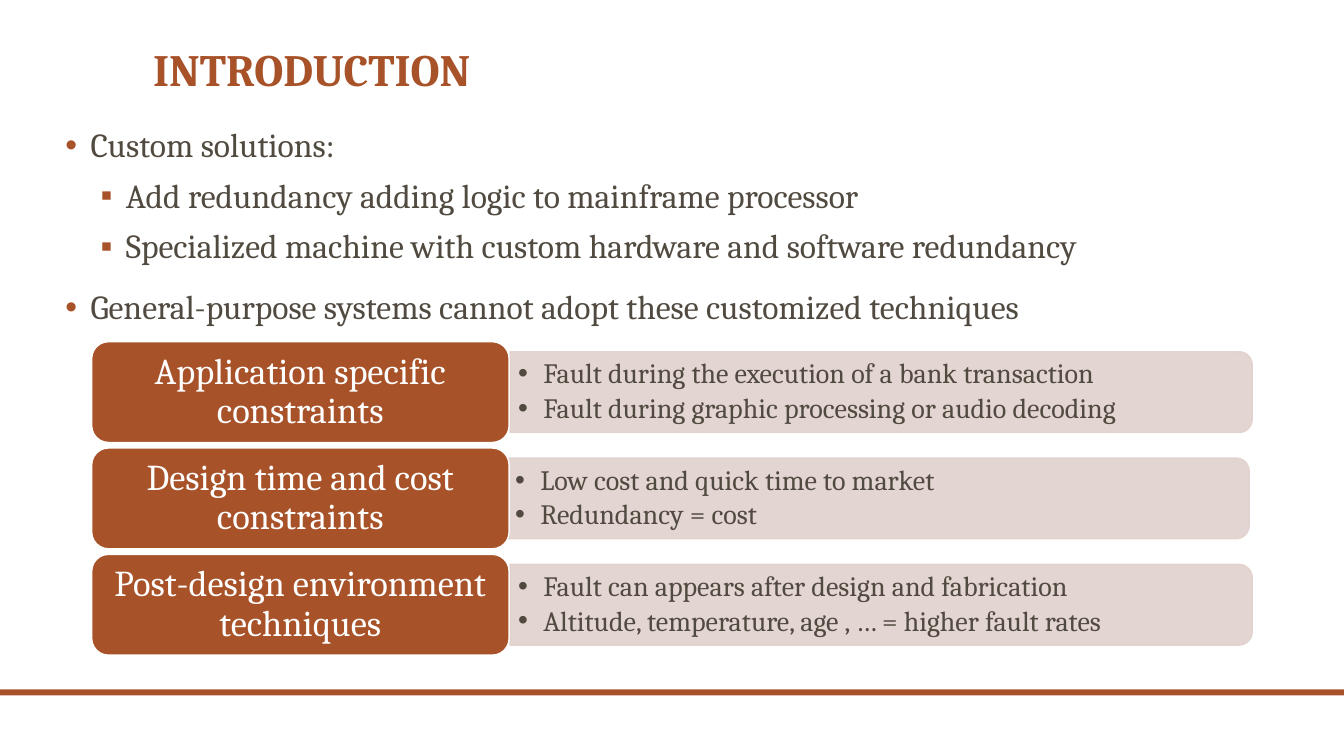
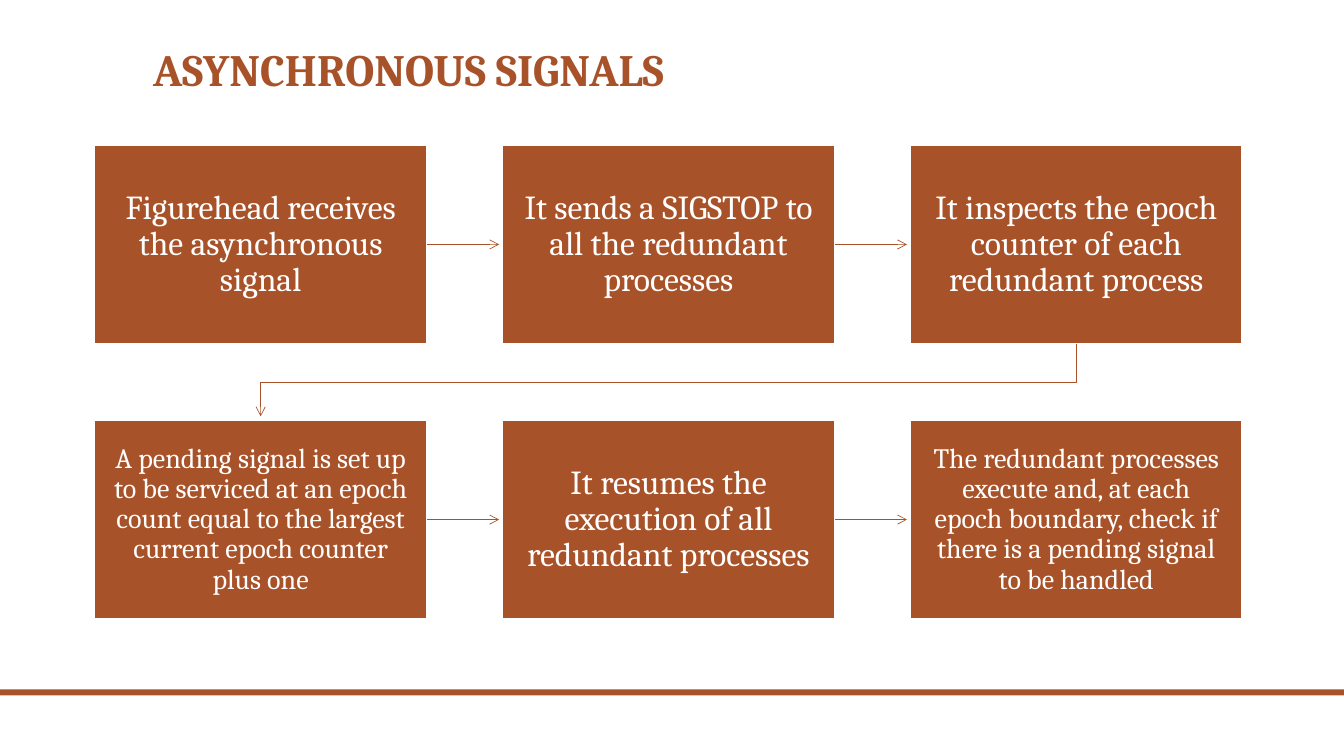
from math import cos, radians, sin

from lxml.etree import SubElement
from pptx import Presentation
from pptx.dml.color import RGBColor
from pptx.enum.shapes import MSO_CONNECTOR, MSO_SHAPE
from pptx.enum.text import MSO_ANCHOR, PP_ALIGN
from pptx.oxml.ns import qn
from pptx.util import Inches, Pt

COLORS = {"rust": "A85229", "blush": "E1D1CD", "ink": "514A40", "white": "FFFFFF"}
FONT = "Cambria"

CENTERED = {"alignment": PP_ALIGN.CENTER}
TOPIC = {"space_before": Pt(18)}
SUBTOPIC = {"space_before": Pt(10)}
DETAIL = {"space_after": Pt(3)}

OUTLINE = [
    ("Custom solutions:", TOPIC, 0.3, "•"),
    ("Add redundancy adding logic to mainframe processor", SUBTOPIC, 0.65, "▪"),
    ("Specialized machine with custom hardware and software redundancy", SUBTOPIC, 0.65, "▪"),
    ("General-purpose systems cannot adopt these customized techniques", TOPIC, 0.3, "•"),
]
CONSTRAINTS = [
    ("Application specific constraints", 5.06,
     ["Fault during the execution of a bank transaction",
      "Fault during graphic processing or audio decoding"]),
    ("Design time and cost constraints", 5.03,
     ["Low cost and quick time to market", "Redundancy = cost"]),
    ("Post-design environment techniques", 5.06,
     ["Fault can appears after design and fabrication",
      "Altitude, temperature, age , … = higher fault rates"]),
]
STEPS = [
    ("Figurehead receives the asynchronous signal", 24),
    ("It sends a SIGSTOP to all the redundant processes", 24),
    ("It inspects the epoch counter of each redundant process", 24),
    ("A pending signal is set up to be serviced at an epoch count "
     "equal to the largest current epoch counter plus one", 20),
    ("It resumes the execution of all redundant processes", 24),
    ("The redundant processes execute and, at each epoch boundary, "
     "check if there is a pending signal to be handled", 20),
]


def color(name):
    return RGBColor.from_string(COLORS[name])


def apply(target, values):
    for name, value in values.items():
        setattr(target, name, value)


def set_frame(box, anchor, horizontal, vertical):
    apply(box.text_frame, {
        "word_wrap": True, "vertical_anchor": anchor,
        "margin_left": Inches(horizontal), "margin_right": Inches(horizontal),
        "margin_top": Inches(vertical), "margin_bottom": Inches(vertical),
    })


def add_bullet(paragraph, symbol, indent, tint):
    properties = paragraph._p.get_or_add_pPr()
    properties.set("marL", str(Inches(indent)))
    properties.set("indent", str(Inches(-0.25)))
    bullet_color = SubElement(properties, qn("a:buClr"))
    SubElement(bullet_color, qn("a:srgbClr"), val=COLORS[tint])
    SubElement(properties, qn("a:buFont"), typeface="Arial")
    SubElement(properties, qn("a:buChar"), char=symbol)


def write(box, index, text, size, tint, layout, bullet=None, bold=False):
    frame = box.text_frame
    paragraph = frame.add_paragraph() if index else frame.paragraphs[0]
    if bullet:
        add_bullet(paragraph, *bullet)
    apply(paragraph, {"line_spacing": 0.9, **layout})
    if not index:
        paragraph.space_before = Pt(0)
    span = paragraph.add_run()
    span.text = text
    apply(span.font, {"name": FONT, "size": Pt(size), "bold": bold})
    span.font.color.rgb = color(tint)


def paint(shape, fill, line=None, width=1):
    shape.shadow.inherit = False
    if fill:
        shape.fill.solid()
        shape.fill.fore_color.rgb = color(fill)
    else:
        shape.fill.background()
    if line:
        shape.line.color.rgb = color(line)
        shape.line.width = Pt(width)
    else:
        shape.line.fill.background()


def add_label(page, kind, area, text, size, margins):
    box = page.shapes.add_shape(kind, *map(Inches, area))
    paint(box, "rust", "white")
    set_frame(box, MSO_ANCHOR.MIDDLE, *margins)
    write(box, 0, text, size, "white", CENTERED)


def add_path(page, points, close):
    corners = [(Inches(x), Inches(y)) for x, y in points]
    builder = page.shapes.build_freeform(*corners[0], scale=1.0)
    builder.add_line_segments(corners[1:], close=close)
    return builder.convert_to_shape()


def add_detail(page, left, top, lines):
    width, height, radius = 7.36, 0.8, 0.13
    right, bottom = left + width, top + height

    def corner(center_y, start):
        angles = [radians(start + step * 10) for step in range(10)]
        return [(right - radius + radius * cos(angle), center_y + radius * sin(angle))
                for angle in angles]

    points = [(left, top), *corner(top + radius, -90),
              *corner(bottom - radius, 0), (left, bottom)]
    box = add_path(page, points, True)
    paint(box, "blush", "blush")
    for tint in box._element.spPr.iter(qn("a:srgbClr")):
        SubElement(tint, qn("a:alpha"), val="90000")
    set_frame(box, MSO_ANCHOR.MIDDLE, 0.08, 0.08)
    for index, text in enumerate(lines):
        write(box, index, text, 20, "ink", {"alignment": PP_ALIGN.LEFT, **DETAIL},
              ("•", 0.25, "ink"))


def add_arrow(page, points):
    if len(points) == 2:
        ends = [Inches(value) for point in points for value in point]
        arrow = page.shapes.add_connector(MSO_CONNECTOR.STRAIGHT, *ends)
        arrow.line.color.rgb = color("rust")
        arrow.line.width = Pt(0.5)
        SubElement(arrow._element.spPr, qn("a:effectLst"))
    else:
        arrow = add_path(page, points, False)
        paint(arrow, None, "rust", 0.5)
    SubElement(arrow._element.spPr.find(qn("a:ln")), qn("a:tailEnd"), type="arrow")


def add_page(deck, title):
    page = deck.slides.add_slide(deck.slide_layouts[6])
    band = page.shapes.add_shape(
        MSO_SHAPE.RECTANGLE, 0, Inches(6.84), deck.slide_width, Inches(0.06))
    paint(band, "rust")
    box = page.shapes.add_textbox(*map(Inches, (1.42, 0.42, 10.5, 0.58)))
    set_frame(box, MSO_ANCHOR.BOTTOM, 0.1, 0.05)
    write(box, 0, title, 32, "rust", {}, bold=True)
    return page


def add_introduction(deck):
    page = add_page(deck, "INTRODUCTION")
    box = page.shapes.add_textbox(*map(Inches, (0.5, 1.23, 12.33, 2.1)))
    set_frame(box, MSO_ANCHOR.TOP, 0.1, 0.05)
    for index, (text, layout, indent, symbol) in enumerate(OUTLINE):
        write(box, index, text, 24, "ink", layout, (symbol, indent, "rust"))
    for row, (heading, detail_left, lines) in enumerate(CONSTRAINTS):
        top = 3.39 + row * 1.055
        add_detail(page, detail_left, top + 0.1, lines)
        add_label(page, MSO_SHAPE.ROUNDED_RECTANGLE, (0.91, top, 4.14, 1),
                  heading, 26, (0.11, 0.05))


def add_signals(deck):
    page = add_page(deck, "ASYNCHRONOUS SIGNALS")
    left, top, width, height = 0.94, 1.44, 3.29, 1.97
    column_step, row_step, columns = 4.045, 2.73, 3
    for index, (text, size) in enumerate(STEPS):
        row, column = divmod(index, columns)
        x, y = left + column * column_step, top + row * row_step
        middle = y + height / 2
        if column < columns - 1:
            add_arrow(page, [(x + width, middle), (x + width + 0.72, middle)])
        elif index < len(STEPS) - 1:
            start, end = x + width / 2, left + width / 2
            bottom = y + height
            add_arrow(page, [(start, bottom), (start, bottom + 0.38),
                             (end, bottom + 0.38), (end, bottom + 0.72)])
        add_label(page, MSO_SHAPE.RECTANGLE, (x, y, width, height),
                  text, size, (0.18, 0.18))


def main():
    deck = Presentation()
    deck.slide_width, deck.slide_height = Inches(13.33), Inches(7.5)
    add_introduction(deck)
    add_signals(deck)
    deck.save("out.pptx")


if __name__ == "__main__":
    main()
